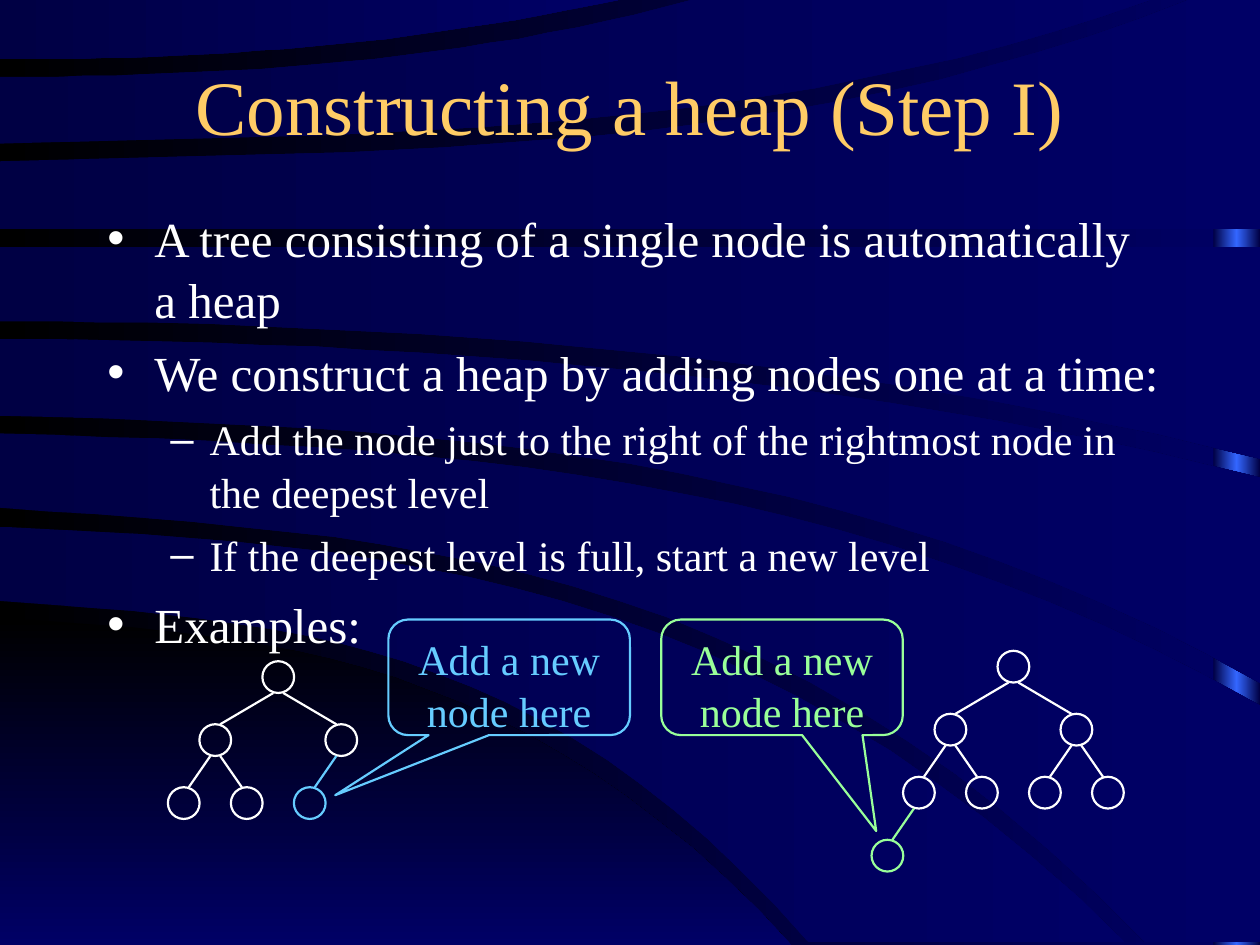
import copy

import pptx
import pptx.dml.color
import pptx.enum.shapes
import pptx.enum.text
import pptx.oxml
import pptx.oxml.ns
import pptx.util
from pptx.util import Cm

RGBColor = pptx.dml.color.RGBColor
SHAPE = pptx.enum.shapes.MSO_SHAPE
ALIGN = pptx.enum.text.PP_ALIGN
ANCHOR = pptx.enum.text.MSO_ANCHOR

BLACK = RGBColor(0x00, 0x00, 0x00)
NIGHT = RGBColor(0x00, 0x00, 0x44)
NAVY = RGBColor(0x00, 0x00, 0x66)
GLOW = RGBColor(0x33, 0x66, 0xFF)
GOLD = RGBColor(0xFF, 0xCC, 0x66)
WHITE = RGBColor(0xFF, 0xFF, 0xFF)
SKY = RGBColor(0x66, 0xCC, 0xFF)
MINT = RGBColor(0x99, 0xFF, 0x99)

FONT = "Times New Roman"
BAND_UNIT = Cm(2.54) / 100
EDGE_STEPS = 24
NODE_SIZE = 0.64
LEVEL_STEP = 1.27
EDGE_INSET = 0.1

CORNER = (628, (491, 512, 583, 750)), (628, (750,) * 4)
BANDS = [
    ((893, (418, 444, 534, 748)), (642, (477, 499, 571, 748))),
    ((1000, (344, 362, 421, 560)), (909, (403, 432, 523, 748))),
    ((1000, (269, 280, 314, 379)), (1000, (330, 347, 405, 542))),
    ((1000, (196,) * 4), (1000, (255, 265, 299, 364))),
    ((943, (128, 119, 87, 0)), (1000, (182,) * 4)),
    ((549, (61, 56, 38, 0)), (913, (114, 105, 76, 0))),
    ((491, (0,) * 4), (491, (47, 43, 28, 0))),
]


def paint_gradient(fill, colors, angle=0):
    fill.gradient()
    fill.gradient_angle = angle
    for index, (stop, color) in enumerate(zip(fill.gradient_stops, colors)):
        stop.color.rgb = color
        stop.position = index / (len(colors) - 1)


def edge_points(reach, heights):
    points = []
    for step in range(EDGE_STEPS + 1):
        place = 3 * step / EDGE_STEPS
        y = 0
        for knot, height in enumerate(heights):
            weight = 1
            for other in range(4):
                if other != knot:
                    weight *= (place - other) / (knot - other)
            y += weight * height
        points.append((reach * step / EDGE_STEPS, y))
    return points


def add_band(slide, upper, lower, colors, angle=0):
    shorter, longer = sorted((upper, lower), key=lambda edge: edge[0])
    corner = (longer[0], shorter[1][-1])
    points = edge_points(*upper) + [corner] + edge_points(*lower)[::-1]
    outline = slide.shapes.build_freeform(*points[0], scale=BAND_UNIT)
    outline.add_line_segments(points[1:])
    band = outline.convert_to_shape()
    band.shadow.inherit = False
    band.line.fill.background()
    paint_gradient(band.fill, colors, angle)


def add_side_strip(slide):
    strip = slide.shapes.add_shape(SHAPE.RECTANGLE, Cm(24.46), 0, Cm(0.94), Cm(19.05))
    strip.shadow.inherit = False
    strip.line.fill.background()
    strip.fill.gradient()
    stops = strip.element.find(".//" + pptx.oxml.ns.qn("a:gsLst"))
    stops.append(copy.deepcopy(stops[-1]))
    paint_gradient(strip.fill, [NIGHT, GLOW, NIGHT])


def write_text(paragraph, text, size=28, color=WHITE, align=ALIGN.LEFT, before=0, spacing=1.04):
    paragraph.alignment = align
    paragraph.space_before = pptx.util.Pt(before)
    paragraph.line_spacing = spacing
    run = paragraph.add_run()
    run.text = text
    run.font.name = FONT
    run.font.size = pptx.util.Pt(size)
    run.font.color.rgb = color


def set_bullet(paragraph, mark, margin, hanging):
    properties = paragraph._p.get_or_add_pPr()
    properties.set("marL", str(Cm(margin)))
    properties.set("indent", str(-Cm(hanging)))
    namespace = pptx.oxml.ns.nsdecls("a")
    for xml in (f'<a:buClr {namespace}><a:srgbClr val="{WHITE}"/></a:buClr>',
                f'<a:buChar {namespace} char="{mark}"/>'):
        properties.append(pptx.oxml.parse_xml(xml))


def place_placeholder(placeholder, left, top, width, height):
    placeholder.left, placeholder.top = Cm(left), Cm(top)
    placeholder.width, placeholder.height = Cm(width), Cm(height)
    placeholder.text_frame.auto_size = pptx.enum.text.MSO_AUTO_SIZE.NONE
    placeholder.element.getparent().append(placeholder.element)
    return placeholder.text_frame


def fill_body(frame, points):
    for index, (level, text) in enumerate(points):
        paragraph = frame.add_paragraph() if index else frame.paragraphs[0]
        paragraph.level = level
        write_text(paragraph, text, size=24 if level else 28, before=6 if level else 7)
        set_bullet(paragraph, *(("–", 2.06, 0.79) if level else ("•", 0.95, 0.95)))


def style_outline(shape, color):
    shape.shadow.inherit = False
    shape.fill.background()
    shape.line.color.rgb = color
    shape.line.width = pptx.util.Pt(1.25)


def node_center(root, number):
    if number == 1:
        return root
    x, y = node_center(root, number // 2)
    reach = LEVEL_STEP if number < 4 else LEVEL_STEP / 2
    return x + (reach if number % 2 else -reach), y + LEVEL_STEP


def add_node(shapes, root, number, color):
    x, y = node_center(root, number)
    radius = NODE_SIZE / 2
    node = shapes.add_shape(SHAPE.OVAL, Cm(x - radius), Cm(y - radius), Cm(NODE_SIZE), Cm(NODE_SIZE))
    style_outline(node, color)
    if number > 1:
        parent_x, parent_y = node_center(root, number // 2)
        inset = EDGE_INSET if parent_x > x else -EDGE_INSET
        edge = shapes.add_connector(pptx.enum.shapes.MSO_CONNECTOR.STRAIGHT,
                                    Cm(x + inset), Cm(y - radius),
                                    Cm(parent_x - inset), Cm(parent_y + radius))
        edge.line.color.rgb = color
        edge.line.width = pptx.util.Pt(1.25)
        edge.element.spPr.append(pptx.oxml.parse_xml(f'<a:effectLst {pptx.oxml.ns.nsdecls("a")}/>'))


def add_callout(shapes, left, color, pointer):
    callout = shapes.add_shape(SHAPE.ROUNDED_RECTANGULAR_CALLOUT, Cm(left), Cm(12.49), Cm(4.87), Cm(2.33))
    style_outline(callout, color)
    for index, value in enumerate((*pointer, 0.17)):
        callout.adjustments[index] = value
    callout.text_frame.word_wrap = True
    callout.text_frame.vertical_anchor = ANCHOR.TOP
    write_text(callout.text_frame.paragraphs[0], "Add a new node here",
               size=24, color=color, align=ALIGN.CENTER)


def add_example(slide, root, size, color, callout_left, pointer):
    tree = slide.shapes.add_group_shape()
    for number in range(1, size + 1):
        add_node(tree.shapes, root, number, WHITE)
    addition = slide.shapes.add_group_shape()
    add_node(addition.shapes, root, size + 1, color)
    add_callout(addition.shapes, callout_left, color, pointer)


def main():
    deck = pptx.Presentation()
    deck.slide_width, deck.slide_height = Cm(25.4), Cm(19.05)
    slide = deck.slides.add_slide(deck.slide_layouts[1])

    paint_gradient(slide.background.fill, [BLACK, NAVY])
    add_side_strip(slide)
    add_band(slide, *CORNER, [BLACK, NAVY], angle=270)
    for upper, lower in BANDS:
        add_band(slide, upper, lower, [NIGHT, NAVY])

    title = place_placeholder(slide.shapes.title, 0.85, 1.06, 23.7, 2.12)
    title.vertical_anchor = ANCHOR.MIDDLE
    write_text(title.paragraphs[0], "Constructing a heap (Step I)",
               size=44, color=GOLD, align=ALIGN.CENTER, spacing=1)
    body = place_placeholder(slide.placeholders[1], 1.91, 4.02, 21.8, 9.74)
    fill_body(body, [
        (0, "A tree consisting of a single node is automatically a heap"),
        (0, "We construct a heap by adding nodes one at a time:"),
        (1, "Add the node just to the right of the rightmost node in the deepest level"),
        (1, "If the deepest level is full, start a new level"),
        (0, "Examples:"),
    ])

    add_example(slide, (5.61, 13.65), 5, SKY, 7.83, (-0.72, 1.02))
    add_example(slide, (20.43, 13.44), 7, MINT, 13.33, (0.39, 1.33))
    deck.save("out.pptx")


if __name__ == "__main__":
    main()
